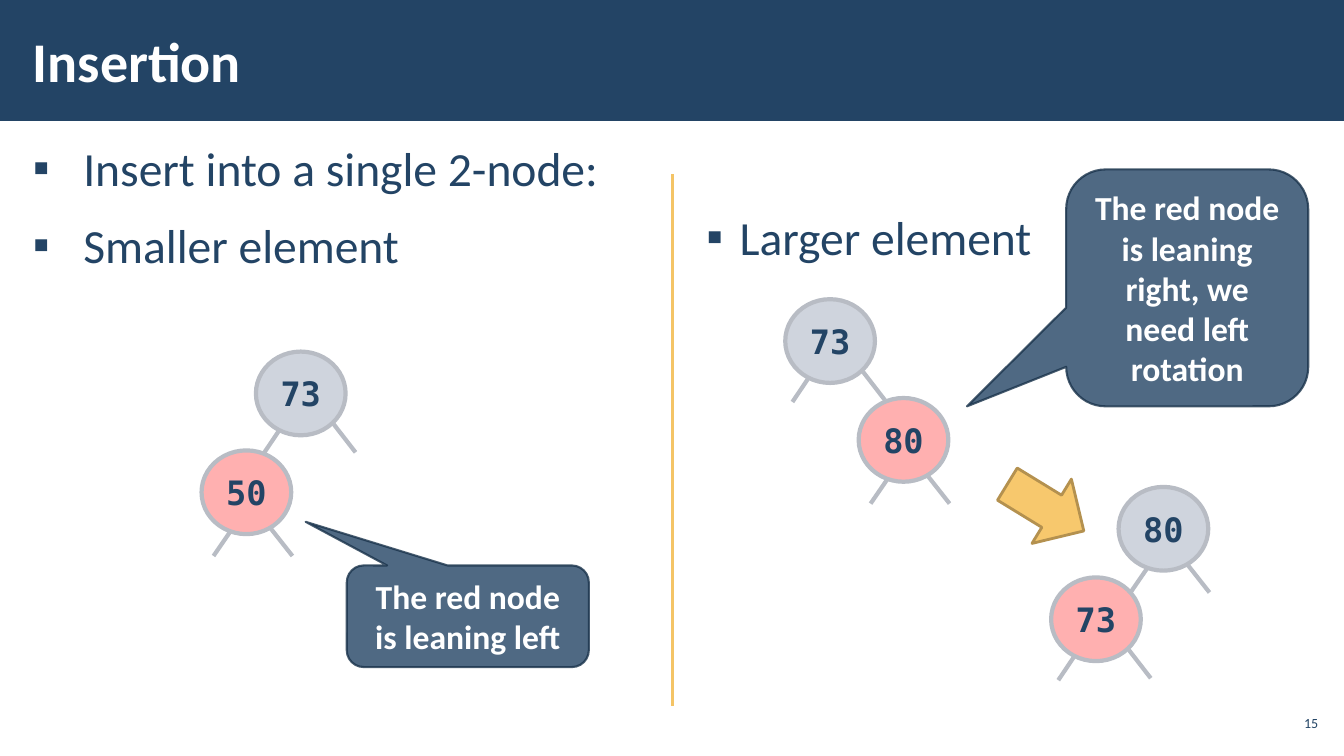
from lxml import etree
from pptx import Presentation, util as u
from pptx.dml.color import RGBColor
from pptx.enum import shapes, text
from pptx.oxml.ns import qn

NAVY, WHITE, GOLD = "234465", "FFFFFF", "F4C466"
RED, BLACK, EDGE = "FFB0B0", "A1AABC", "B8BCC4"
NODE_W, NODE_H = 2.26, 2.11
# Child links, relative to a node's top left corner: (x1, y1, x2, y2)
NARROW_LINKS = [(0.74, 2.02, 0.3, 2.66), (1.73, 1.95, 2.29, 2.66)]
WIDE_LINKS = [(0.61, 1.95, 0.18, 2.59), (1.96, 1.83, 2.51, 2.54)]


def color(value):
    return RGBColor.from_string(value)


class Deck:
    font, mono = "Calibri", "DejaVu Sans Mono"

    def __init__(self):
        self.prs = Presentation()
        self.prs.slide_width, self.prs.slide_height = u.Cm(33.87), u.Cm(19.05)
        self.slide = self.prs.slides.add_slide(self.prs.slide_layouts[6])

    def alpha(self, element, percent):
        clr = element.find(qn("a:solidFill"))[0]
        etree.SubElement(clr, qn("a:alpha"), val=str(percent * 1000))

    def style(self, p, size, value, bold=False, font=None):
        for r in p.runs:
            r.font.size, r.font.bold = u.Pt(size), bold
            r.font.name = font or self.font
            r.font.color.rgb = color(value)

    def shape(self, kind, x, y, w, h, fill, line=None, width=1, opacity=100):
        sp = self.slide.shapes.add_shape(kind, u.Cm(x), u.Cm(y), u.Cm(w), u.Cm(h))
        sp.shadow.inherit = False
        sp.fill.solid()
        sp.fill.fore_color.rgb = color(fill)
        if opacity < 100:
            self.alpha(sp._element.spPr, opacity)
        if line:
            sp.line.color.rgb, sp.line.width = color(line), u.Pt(width)
        else:
            sp.line.fill.background()
        return sp

    def label(self, sp, words, value, font=None):
        tf = sp.text_frame
        tf.word_wrap = True
        tf.vertical_anchor = text.MSO_ANCHOR.MIDDLE
        tf.text = words
        p = tf.paragraphs[0]
        p.alignment = text.PP_ALIGN.CENTER
        self.style(p, 24, value, True, font)

    def line(self, x1, y1, x2, y2, value, width):
        c = self.slide.shapes.add_connector(
            shapes.MSO_CONNECTOR.STRAIGHT, u.Cm(x1), u.Cm(y1), u.Cm(x2), u.Cm(y2))
        c.line.color.rgb, c.line.width = color(value), u.Pt(width)
        etree.SubElement(c._element.spPr, qn("a:effectLst"))

    def textbox(self, x, y, w, h, side=0.3, anchor=text.MSO_ANCHOR.TOP):
        tf = self.slide.shapes.add_textbox(
            u.Cm(x), u.Cm(y), u.Cm(w), u.Cm(h)).text_frame
        tf.word_wrap, tf.vertical_anchor = True, anchor
        tf.margin_left = tf.margin_right = u.Cm(side)
        tf.margin_top = tf.margin_bottom = u.Cm(0.1)
        return tf

    def caption(self, x, y, w, h, words, size, value, bold=False, side=0.3,
                align=text.PP_ALIGN.LEFT):
        tf = self.textbox(x, y, w, h, side, text.MSO_ANCHOR.MIDDLE)
        tf.text = words
        tf.paragraphs[0].alignment = align
        self.style(tf.paragraphs[0], size, value, bold)

    def bullets(self, x, y, w, h, items, indent):
        tf = self.textbox(x, y, w, h)
        tf.text = "\n".join(items)
        for i, p in enumerate(tf.paragraphs):
            p.line_spacing = 1.05
            p.space_before = u.Pt(12 if i else 0)
            pPr = p._p.get_or_add_pPr()
            pPr.set("marL", str(u.Cm(indent)))
            pPr.set("indent", str(-u.Cm(indent)))
            clr = etree.SubElement(pPr, qn("a:buClr"))
            etree.SubElement(clr, qn("a:srgbClr"), val=NAVY)
            etree.SubElement(pPr, qn("a:buFont"), typeface="Arial")
            etree.SubElement(pPr, qn("a:buChar"), char="▪")
            self.style(p, 34, NAVY)

    def node(self, x, y, key, fill, links):
        sp = self.shape(shapes.MSO_SHAPE.OVAL, x, y, NODE_W, NODE_H, fill, EDGE, 3,
                        50 if fill == BLACK else 100)
        self.label(sp, key, NAVY, self.mono)
        for x1, y1, x2, y2 in links:
            self.line(x + x1, y + y1, x + x2, y + y2, EDGE, 3)

    def callout(self, x, y, w, h, words, tip):
        sp = self.shape(shapes.MSO_SHAPE.ROUNDED_RECTANGULAR_CALLOUT, x, y, w, h,
                        NAVY, "1A334B", 1.5, 80)
        self.alpha(sp._element.spPr.find(qn("a:ln")), 80)
        sp.adjustments[0], sp.adjustments[1] = tip
        self.label(sp, words, WHITE)


def main():
    d = Deck()

    # Title band and slide number
    d.shape(shapes.MSO_SHAPE.RECTANGLE, 0, 0, 33.87, 3.05, NAVY)
    d.caption(0.53, 0.28, 26.42, 2.46, "Insertion", 40, WHITE, True)
    d.caption(32.13, 17.78, 1.19, 0.86, "15", 10, NAVY, side=0.1,
              align=text.PP_ALIGN.RIGHT)

    # Column headings and divider
    d.bullets(0.53, 3.33, 16, 14.45,
              ["Insert into a single 2-node:", "Smaller element"], 1.27)
    d.bullets(17.5, 5.07, 9.3, 2, ["Larger element"], 0.84)
    d.line(16.94, 4.39, 16.94, 17.78, GOLD, 2)

    # Smaller element: red node on the left
    d.node(5.08, 11.35, "50", RED, NARROW_LINKS)
    d.node(6.45, 8.86, "73", BLACK, WIDE_LINKS)
    d.callout(8.74, 14.25, 6.1, 2.56, "The red node is leaning left", (-0.67, -0.93))

    # Larger element: red node on the right
    d.node(21.64, 10.03, "80", RED, NARROW_LINKS)
    d.node(19.79, 7.54, "73", BLACK, WIDE_LINKS)
    d.callout(26.87, 4.27, 6.1, 5.97,
              "The red node is leaning right, we need left rotation", (-0.91, 0.5))

    # Left rotation and its result
    arrow = d.shape(shapes.MSO_SHAPE.RIGHT_ARROW, 25.22, 11.84, 2.26, 1.9,
                    "F7C86D", "B4914F", 2)
    arrow.rotation = 31.5
    d.node(28.19, 12.27, "80", BLACK, NARROW_LINKS)
    d.node(26.49, 14.55, "73", RED, WIDE_LINKS)

    d.prs.save("out.pptx")


if __name__ == "__main__":
    main()
